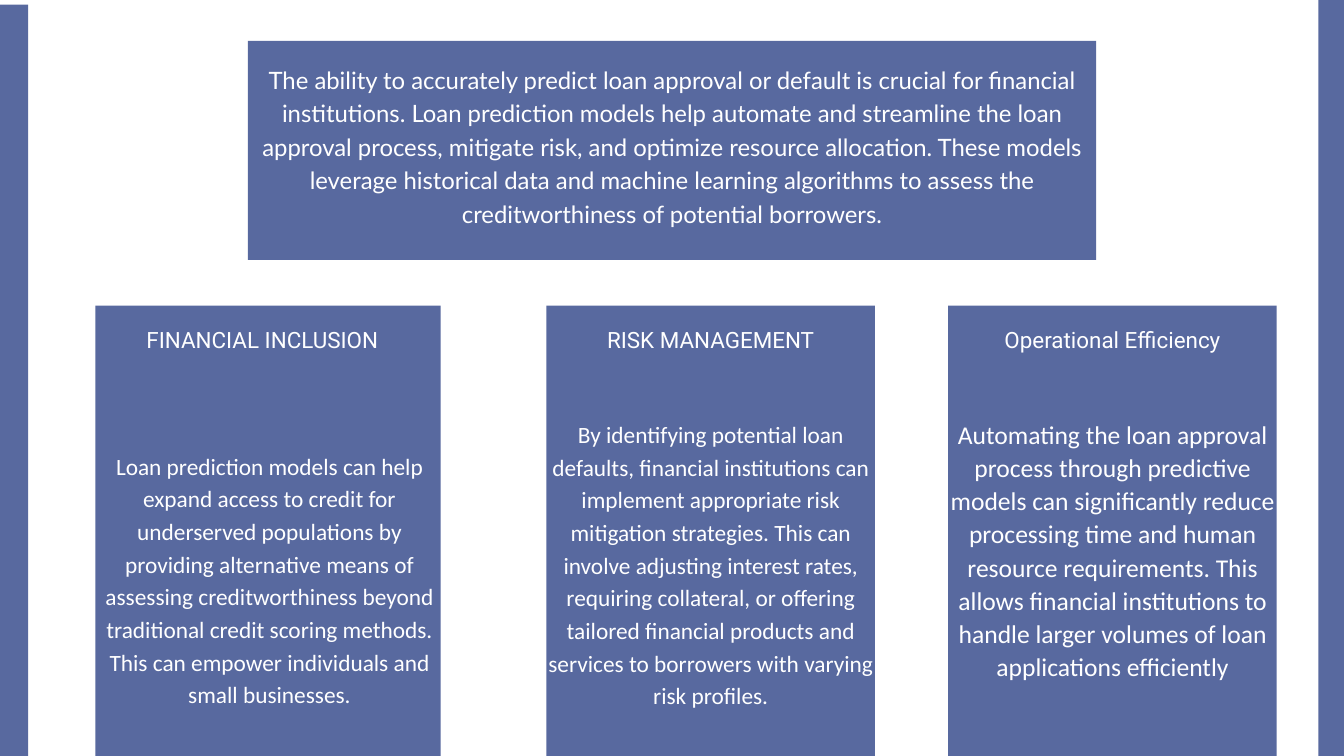
from pptx import Presentation
from pptx.dml.color import RGBColor
from pptx.enum import shapes, text
from pptx.util import Pt

BLUE = "58699F"
WHITE = "FFFFFF"
CARD_TOP, CARD_HEIGHT = 327.6, 513.4
HEADING_WIDTH = 352

CARDS = [
    (102.2, 370, 2.9, "FINANCIAL INCLUSION", 151.6, 25, 35,
     "Loan prediction models can help expand access to credit for underserved "
     "populations by providing alternative means of assessing creditworthiness "
     "beyond traditional credit scoring methods. This can empower individuals "
     "and small businesses."),
    (585.4, 352, 0, "RISK MANAGEMENT", 117.4, 25, 35,
     "By identifying potential loan defaults, financial institutions can "
     "implement appropriate risk mitigation strategies. This can involve "
     "adjusting interest rates, requiring collateral, or offering tailored "
     "financial products and services to borrowers with varying risk profiles."),
    (1015.9, 352, 0, "Operational Efficiency", 118.1, 27.4, 35.6,
     "Automating the loan approval process through predictive models can "
     "significantly reduce processing time and human resource requirements. "
     "This allows financial institutions to handle larger volumes of loan "
     "applications efficiently"),
]

INTRO = (
    "The ability to accurately predict loan approval or default is crucial for "
    "financial institutions. Loan prediction models help automate and "
    "streamline the loan approval process, mitigate risk, and optimize "
    "resource allocation. These models leverage historical data and machine "
    "learning algorithms to assess the creditworthiness of potential borrowers."
)


def color(value):
    return RGBColor.from_string(value)


def add_panel(slide, left, top, width, height):
    panel = slide.shapes.add_shape(
        shapes.MSO_SHAPE.RECTANGLE, Pt(left), Pt(top), Pt(width), Pt(height))
    panel.shadow.inherit = False
    panel.fill.solid()
    panel.fill.fore_color.rgb = color(BLUE)
    panel.line.fill.background()


def add_copy(slide, left, top, width, height, words, font, size, leading):
    frame = slide.shapes.add_textbox(
        Pt(left), Pt(top), Pt(width), Pt(height)).text_frame
    frame.word_wrap = True
    frame.margin_left = frame.margin_right = 0
    frame.margin_top = frame.margin_bottom = 0
    paragraph = frame.paragraphs[0]
    paragraph.text = words
    paragraph.alignment = text.PP_ALIGN.CENTER
    paragraph.line_spacing = Pt(leading)
    paragraph.font.name = font
    paragraph.font.size = Pt(size)
    paragraph.font.color.rgb = color(WHITE)


def add_side_bars(slide, width, height):
    add_panel(slide, -30.2, 5, 60.4, height)
    add_panel(slide, width - 27.4, 0, 60.4, height)


def add_intro(slide, left, top, width, height):
    add_panel(slide, left, top, width, height)
    add_copy(slide, left, top + 21, width, height - 21, INTRO, "Lato", 25.6, 35.9)


def add_card(slide, left, top, width, height, inset, heading, body_offset,
             body_size, body_leading, body):
    add_panel(slide, left, top, width, height)
    add_copy(slide, left + inset, top + 19.4, HEADING_WIDTH, 63.4,
             heading, "Roboto", 24, 31.2)
    add_copy(slide, left + inset, top + body_offset, width - inset,
             height - body_offset - 50, body, "Calibri", body_size, body_leading)


def main():
    deck = Presentation()
    deck.slide_width, deck.slide_height = Pt(1440), Pt(810)
    slide = deck.slides.add_slide(deck.slide_layouts[6])
    add_side_bars(slide, 1440, 810)
    add_intro(slide, 265.5, 43.9, 909, 234.7)
    for left, width, *content in CARDS:
        add_card(slide, left, CARD_TOP, width, CARD_HEIGHT, *content)
    deck.save("out.pptx")


if __name__ == "__main__":
    main()
